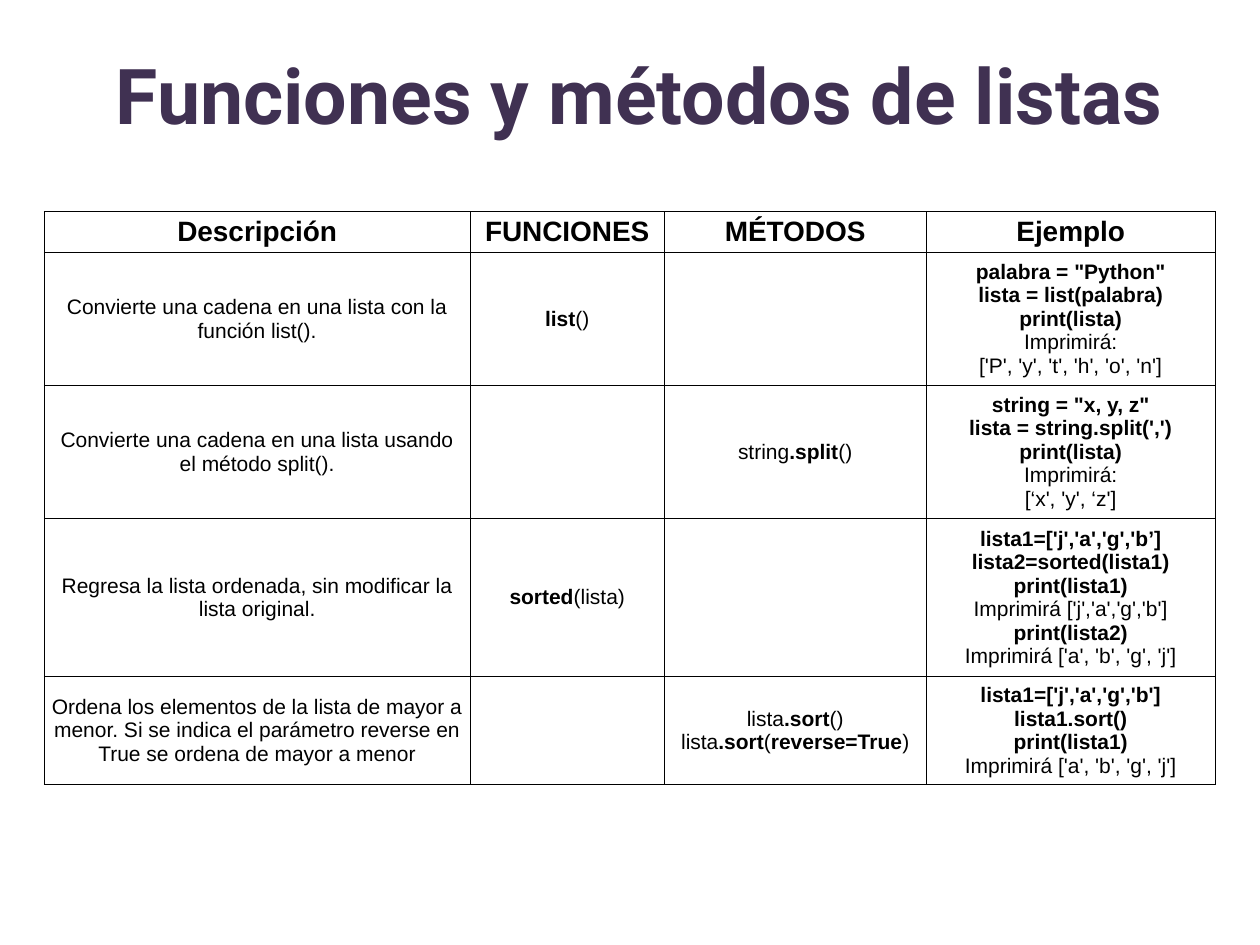
import pptx
import pptx.util
import pptx.dml.color
import pptx.enum.text
import pptx.oxml
import pptx.oxml.ns
from pptx.util import Cm, Pt

TITLE = "Funciones y métodos de listas"
HEADER = ["**Descripción**", "**FUNCIONES**", "**MÉTODOS**", "**Ejemplo**"]
ROWS = [
    ["Convierte una cadena en una lista con la función list().",
     "**list**()",
     "",
     "**palabra = \"Python\"**\n**lista = list(palabra)**\n**print(lista)**\n"
     "Imprimirá:\n['P', 'y', 't', 'h', 'o', 'n']"],
    ["Convierte una cadena en una lista usando el método split().",
     "",
     "string**.split**()",
     "**string = \"x, y, z\"**\n**lista = string.split(',')**\n**print(lista)**\n"
     "Imprimirá:\n[‘x', 'y', ‘z']"],
    ["Regresa la lista ordenada, sin modificar la lista original.",
     "**sorted**(lista)",
     "",
     "**lista1=['j','a','g','b’]**\n**lista2=sorted(lista1)**\n**print(lista1)**\n"
     "Imprimirá ['j','a','g','b']\n**print(lista2)**\nImprimirá ['a', 'b', 'g', 'j']"],
    ["Ordena los elementos de la lista de mayor a menor. Si se indica el parámetro "
     "reverse en True se ordena de mayor a menor",
     "",
     "lista**.sort**()\nlista**.sort**(**reverse=True**)",
     "**lista1=['j','a','g','b']**\n**lista1.sort()**\n**print(lista1)**\n"
     "Imprimirá ['a', 'b', 'g', 'j']"],
]
COL_WIDTHS = [8.59, 3.91, 5.28, 5.83]
ROW_HEIGHTS = [0.79, 2.54, 2.56, 3.0, 2.06]
MIDDLE = pptx.enum.text.MSO_ANCHOR.MIDDLE
CENTER = pptx.enum.text.PP_ALIGN.CENTER


def color(value):
    return pptx.dml.color.RGBColor.from_string(value)


def style(p, name, size, value):
    p.alignment = CENTER
    p.font.name = name
    p.font.size = Pt(size)
    p.font.color.rgb = color(value)


def write(tf, text, name, size, value):
    for i, line in enumerate(text.split("\n")):
        p = tf.add_paragraph() if i else tf.paragraphs[0]
        style(p, name, size, value)
        for j, part in enumerate(line.split("**")):
            if part:
                r = p.add_run()
                r.text = part
                r.font.bold = j % 2 == 1


def add_borders(cell, value, width):
    tc_pr = cell._tc.get_or_add_tcPr()
    for side in "LRTB":
        tc_pr.append(pptx.oxml.parse_xml(
            f'<a:ln{side} {pptx.oxml.ns.nsdecls("a")} w="{Pt(width)}"><a:solidFill>'
            f'<a:srgbClr val="{value}"/></a:solidFill></a:ln{side}>'))


prs = pptx.Presentation()
prs.slide_width, prs.slide_height = Cm(25.4), Cm(19.05)
s = prs.slides.add_slide(prs.slide_layouts[6])

sp = s.shapes.add_textbox(Cm(1.9), Cm(0.61), Cm(22), Cm(2.57))
tf = sp.text_frame
tf.word_wrap = True
tf.vertical_anchor = MIDDLE
write(tf, f"**{TITLE}**", "Roboto", 44, "403152")

table = s.shapes.add_table(len(ROW_HEIGHTS), len(COL_WIDTHS), Cm(0.89), Cm(4.27),
                           Cm(sum(COL_WIDTHS)), Cm(sum(ROW_HEIGHTS))).table
table.horz_banding = False
for column, width in zip(table.columns, COL_WIDTHS):
    column.width = Cm(width)
for row, height in zip(table.rows, ROW_HEIGHTS):
    row.height = Cm(height)

for i, texts in enumerate([HEADER] + ROWS):
    for j, text in enumerate(texts):
        cell = table.cell(i, j)
        cell.margin_left = cell.margin_right = Cm(0.13)
        cell.margin_top = cell.margin_bottom = Cm(0.07)
        cell.vertical_anchor = MIDDLE
        add_borders(cell, "000000", 0.5)
        cell.fill.background()
        write(cell.text_frame, text, "Arial", 12 if i else 16, "000000")

prs.save("out.pptx")
